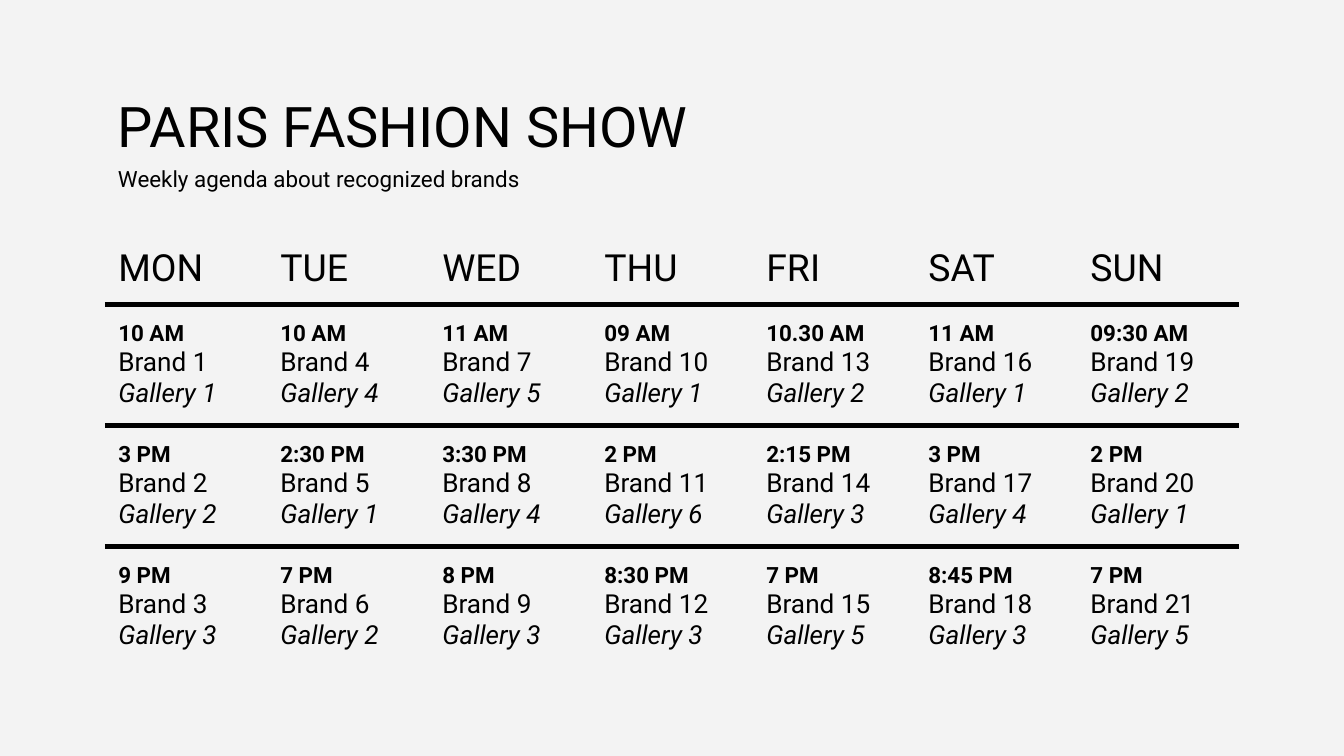
from pptx import Presentation, util as u
from pptx.dml.color import RGBColor
from pptx.enum import text
from pptx.oxml import parse_xml
from pptx.oxml.ns import nsdecls

WIDTH = 10
HEIGHT = WIDTH * 9 / 16
LEFT, BODY_W = 0.78, 8.44
HEAD_H, ROW_H = 0.42, 0.9
BLACK = "000000"
NO_GRID = "{2D5ABB26-0587-4C30-8999-92F81FD0307C}"

AGENDA = {
    "MON": [("10 AM", 1), ("3 PM", 2), ("9 PM", 3)],
    "TUE": [("10 AM", 4), ("2:30 PM", 1), ("7 PM", 2)],
    "WED": [("11 AM", 5), ("3:30 PM", 4), ("8 PM", 3)],
    "THU": [("09 AM", 1), ("2 PM", 6), ("8:30 PM", 3)],
    "FRI": [("10.30 AM", 2), ("2:15 PM", 3), ("7 PM", 5)],
    "SAT": [("11 AM", 1), ("3 PM", 4), ("8:45 PM", 3)],
    "SUN": [("09:30 AM", 2), ("2 PM", 1), ("7 PM", 5)],
}


def color(value):
    """Turn a hex string into a colour."""
    return RGBColor.from_string(value)


def style(p, size, bold=False, italic=False):
    """Format every run of a paragraph."""
    for r in p.runs:
        r.font.name, r.font.size = "Roboto", u.Pt(size)
        r.font.bold, r.font.italic = bold, italic
        r.font.color.rgb = color(BLACK)


def add_text(s, content, top, height, size):
    """Add a line of text as wide as the agenda."""
    sp = s.shapes.add_textbox(u.Inches(LEFT), u.Inches(top),
                              u.Inches(BODY_W), u.Inches(height))
    tf = sp.text_frame
    tf.word_wrap = True
    tf.margin_left = tf.margin_right = u.Inches(0.1)
    tf.margin_top = tf.margin_bottom = u.Inches(0.1)
    tf.text = content
    style(tf.paragraphs[0], size)


def add_rule(cell, side):
    """Draw a thick border on one side of a cell."""
    cell._tc.get_or_add_tcPr().append(parse_xml(
        f'<a:{side} {nsdecls("a")} w="{u.Pt(3)}"><a:solidFill>'
        f'<a:srgbClr val="{BLACK}"/></a:solidFill></a:{side}>'))


def fill_cell(cell, lines, formats, sides):
    """Write a cell's lines, each with its own format, and its borders."""
    cell.margin_left = cell.margin_right = u.Inches(0.1)
    cell.margin_top = cell.margin_bottom = u.Inches(0.1)
    cell.vertical_anchor = text.MSO_ANCHOR.MIDDLE
    cell.text_frame.text = "\n".join(lines)
    for p, args in zip(cell.text_frame.paragraphs, formats):
        style(p, *args)
    for side in sides:
        add_rule(cell, side)
    cell.fill.background()


def add_agenda(s, top):
    """Add the weekly table, one column a day and one row a show."""
    shows = len(AGENDA["MON"])
    table = s.shapes.add_table(
        shows + 1, len(AGENDA), u.Inches(LEFT), u.Inches(top),
        u.Inches(BODY_W), u.Inches(HEAD_H + ROW_H * shows)).table
    table.first_row = table.horz_banding = False
    table._tbl.tblPr[0].text = NO_GRID
    for i, row in enumerate(table.rows):
        row.height = u.Inches(ROW_H if i else HEAD_H)
    for c, (day, slots) in enumerate(AGENDA.items()):
        fill_cell(table.cell(0, c), [day], [(20,)], ["lnB"])
        for i, (time, gallery) in enumerate(slots, 1):
            lines = [time, f"Brand {c * shows + i}", f"Gallery {gallery}"]
            sides = ["lnT", "lnB"] if i < shows else ["lnT"]
            fill_cell(table.cell(i, c), lines,
                      [(12, True), (14,), (14, False, True)], sides)


def main():
    """Build the slide and save it."""
    prs = Presentation()
    prs.slide_width, prs.slide_height = u.Inches(WIDTH), u.Inches(HEIGHT)
    s = prs.slides.add_slide(prs.slide_layouts[6])
    s.background.fill.solid()
    s.background.fill.fore_color.rgb = color("F3F3F3")
    add_text(s, "PARIS FASHION SHOW", 0.58, 0.63, 30)
    add_agenda(s, 1.73)
    add_text(s, "Weekly agenda about recognized brands", 1.13, 0.32, 12)
    prs.save("out.pptx")


if __name__ == "__main__":
    main()
